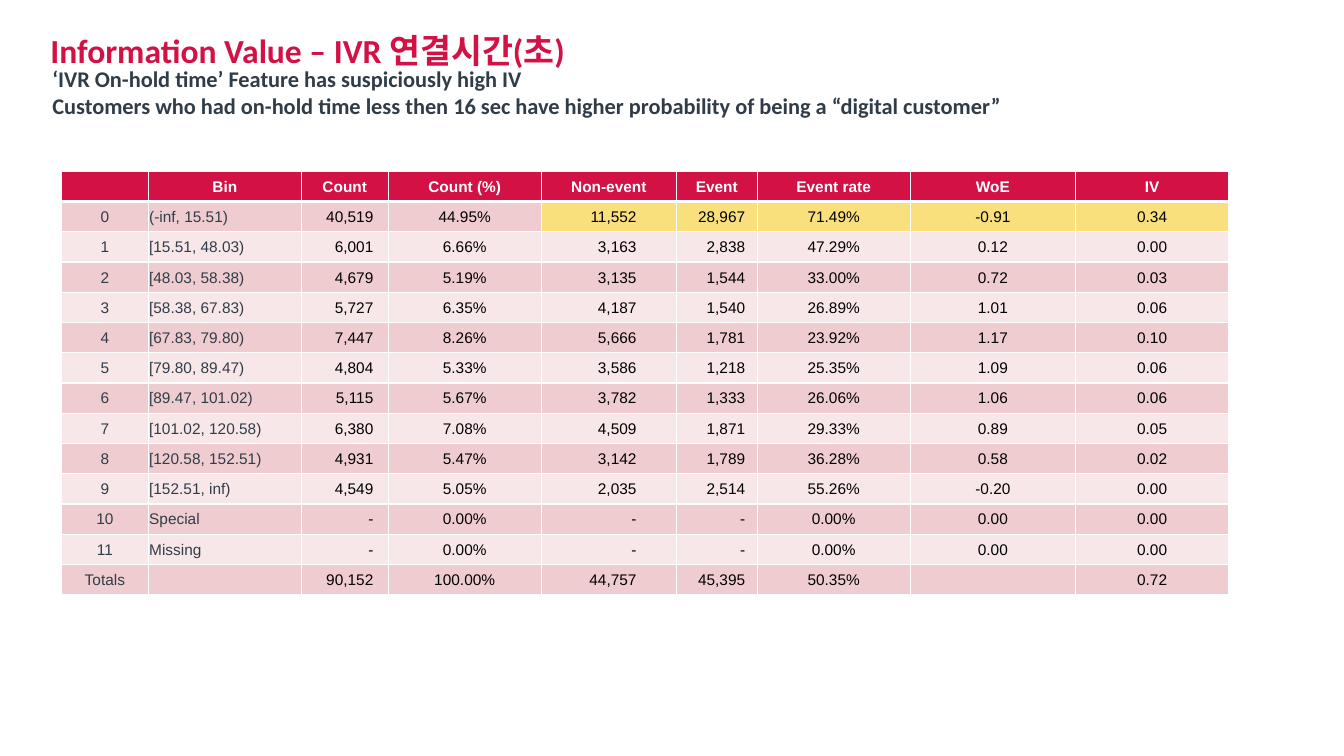
from lxml.etree import SubElement
from pptx import Presentation
from pptx.dml.color import RGBColor as RGB
from pptx.enum.text import MSO_ANCHOR as Anchor, PP_ALIGN as Align
from pptx.oxml.ns import qn
from pptx.util import Pt

COLORS = {"red": "D31145", "slate": "303D48", "white": "FFFFFF", "black": "000000",
          "dark": "EFCCCF", "light": "F7E7E9", "gold": "FADF7D"}

HEADS = ["", "Bin", "Count", "Count (%)", "Non-event", "Event", "Event rate", "WoE", "IV"]
WIDTHS = [61.9, 109.5, 61.9, 109.5, 96.5, 57.6, 109.5, 118, 109.5]
ROW_H = 21.6
GOLD_FROM = 4
# Right margins of the columns whose figures align right
RIGHT = {2: 10.5, 4: 28.5, 5: 8.5}

ROWS = [
    ["0", "(-inf, 15.51)", "40,519", "44.95%", "11,552", "28,967", "71.49%", "-0.91", "0.34"],
    ["1", "[15.51, 48.03)", "6,001", "6.66%", "3,163", "2,838", "47.29%", "0.12", "0.00"],
    ["2", "[48.03, 58.38)", "4,679", "5.19%", "3,135", "1,544", "33.00%", "0.72", "0.03"],
    ["3", "[58.38, 67.83)", "5,727", "6.35%", "4,187", "1,540", "26.89%", "1.01", "0.06"],
    ["4", "[67.83, 79.80)", "7,447", "8.26%", "5,666", "1,781", "23.92%", "1.17", "0.10"],
    ["5", "[79.80, 89.47)", "4,804", "5.33%", "3,586", "1,218", "25.35%", "1.09", "0.06"],
    ["6", "[89.47, 101.02)", "5,115", "5.67%", "3,782", "1,333", "26.06%", "1.06", "0.06"],
    ["7", "[101.02, 120.58)", "6,380", "7.08%", "4,509", "1,871", "29.33%", "0.89", "0.05"],
    ["8", "[120.58, 152.51)", "4,931", "5.47%", "3,142", "1,789", "36.28%", "0.58", "0.02"],
    ["9", "[152.51, inf)", "4,549", "5.05%", "2,035", "2,514", "55.26%", "-0.20", "0.00"],
    ["10", "Special", "-", "0.00%", "-", "-", "0.00%", "0.00", "0.00"],
    ["11", "Missing", "-", "0.00%", "-", "-", "0.00%", "0.00", "0.00"],
    ["Totals", "", "90,152", "100.00%", "44,757", "45,395", "50.35%", "", "0.72"],
]


def color(name):
    return RGB.from_string(COLORS[name])


def style(par, face, size, tint, bold):
    font = par.font
    font.name, font.size, font.bold = face, Pt(size), bold
    font.color.rgb = color(tint)


def add_text(slide, box, lines, size, tint):
    frame = slide.shapes.add_textbox(*map(Pt, box)).text_frame
    frame.word_wrap = True
    frame.margin_left = frame.margin_top = frame.margin_right = frame.margin_bottom = 0
    frame.text = "\n".join(lines)
    for par in frame.paragraphs:
        style(par, "Calibri", size, tint, True)
    return frame


def set_edges(cell, sides):
    """Draw white borders; sides maps L, R, T and B to widths in points."""
    props = cell._tc.get_or_add_tcPr()
    for side, width in sides.items():
        line = SubElement(props, qn(f"a:ln{side}"), w=str(Pt(width)))
        fill = SubElement(line, qn("a:solidFill"))
        SubElement(fill, qn("a:srgbClr"), val=COLORS["white"])


def fill_cell(cell, text, row, col):
    head = row == 0
    if head:
        back, tint = "red", "white"
    else:
        back = "gold" if row == 1 and col >= GOLD_FROM else "dark" if row % 2 else "light"
        tint = "slate" if col < 2 else "black"
    set_edges(cell, {"L": 1, "R": 1, "T": 3 if row == 1 else 1, "B": 3 if head else 1})
    cell.fill.solid()
    cell.fill.fore_color.rgb = color(back)
    cell.vertical_anchor = Anchor.MIDDLE
    cell.margin_left = cell.margin_top = cell.margin_right = Pt(0.7)
    cell.margin_bottom = 0
    cell.text = text
    par = cell.text_frame.paragraphs[0]
    style(par, "Arial", 11, tint, head)
    par.alignment = Align.CENTER
    if not head and col == 1:
        par.alignment = Align.LEFT
    elif not head and col in RIGHT:
        par.alignment = Align.RIGHT
        cell.margin_right = Pt(RIGHT[col])


def add_grid(slide, left, top):
    data = [HEADS] + ROWS
    size = sum(WIDTHS), ROW_H * len(data)
    table = slide.shapes.add_table(len(data), len(HEADS), *map(Pt, (left, top, *size))).table
    for col, width in zip(table.columns, WIDTHS):
        col.width = Pt(width)
    for row, texts in enumerate(data):
        table.rows[row].height = Pt(ROW_H)
        for col, text in enumerate(texts):
            fill_cell(table.cell(row, col), text, row, col)


def main():
    deck = Presentation()
    deck.slide_width, deck.slide_height = Pt(960), Pt(540)
    slide = deck.slides.add_slide(deck.slide_layouts[6])
    title = add_text(slide, (36, 14.4, 858, 32.4), ["Information Value – IVR 연결시간(초)"], 24, "red")
    title.paragraphs[0].line_spacing = 1.25
    title.paragraphs[0].space_before = Pt(12)
    add_text(slide, (37.4, 46.8, 846, 57.6), [
        "‘IVR On-hold time’ Feature has suspiciously high IV",
        "Customers who had on-hold time less then 16 sec have higher probability "
        "of being a “digital customer”"], 16, "slate")
    add_grid(slide, 44, 122.4)
    deck.save("out.pptx")


if __name__ == "__main__":
    main()
